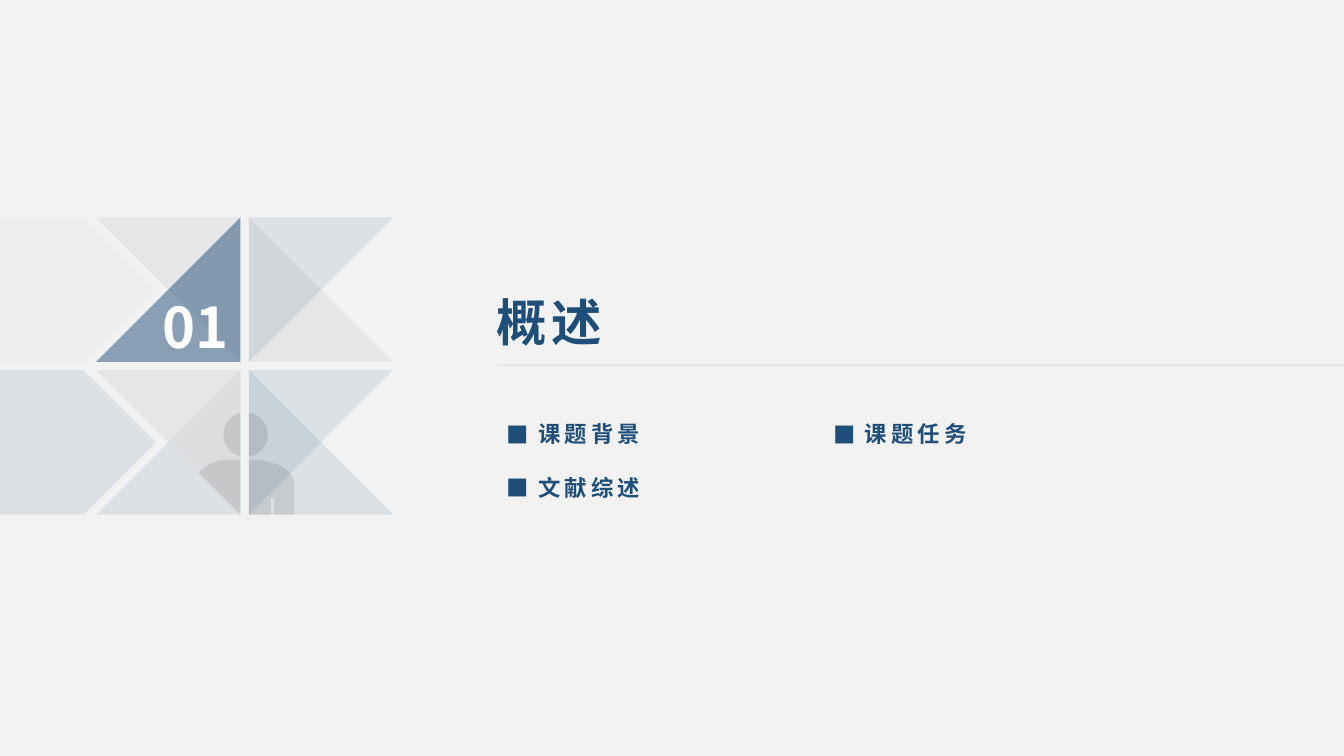
from math import acos, cos, pi, sin
from lxml.etree import SubElement
from pptx import Presentation
from pptx.dml.color import RGBColor as Rgb
from pptx.enum.text import MSO_ANCHOR as Anchor, MSO_AUTO_SIZE as Fit, PP_ALIGN as Align
from pptx.oxml.ns import qn
from pptx.util import Cm, Pt

COLORS = {
    "back": "F2F2F2", "navy": "1F4E79", "gray": "7F7F7F", "light": "D9D9D9",
    "silver": "DBDBDB", "dark": "0D0D0D", "rule": "E6E6E6", "white": "FFFFFF",
}
FACE = "Noto Sans CJK SC"
TILE, STEP = 3.64, 3.85


def color(name):
    return Rgb.from_string(COLORS[name])


def style(par, size, tint, gap=0):
    font = par.font
    font.size, font.bold, font.name = Pt(size), True, FACE
    font.color.rgb = color(tint)
    props = par._p.pPr.find(qn("a:defRPr"))
    if gap:
        props.set("spc", str(gap * 100))
    SubElement(props, qn("a:ea")).set("typeface", FACE)


def bullet(par):
    props = par._p.get_or_add_pPr()
    props.set("marL", str(Cm(0.79)))
    props.set("indent", str(-Cm(0.79)))
    SubElement(props, qn("a:buFont")).set("typeface", FACE)
    SubElement(props, qn("a:buChar")).set("char", "■")


def text(slide, box, lines, size, tint, gap=0, listed=False):
    frame = slide.shapes.add_textbox(*map(Cm, box)).text_frame
    frame.word_wrap, frame.auto_size = True, Fit.SHAPE_TO_FIT_TEXT
    for i, line in enumerate(lines):
        par = frame.add_paragraph() if i else frame.paragraphs[0]
        par.text = line
        if listed:
            par.line_spacing = 2.0
            bullet(par)
        style(par, size, tint, gap)


def patch(slide, x, y, points, tint, alpha):
    spots = [(Cm(x + dx), Cm(y + dy)) for dx, dy in points]
    pen = slide.shapes.build_freeform(*spots[0])
    pen.add_line_segments(spots[1:], close=True)
    shape = pen.convert_to_shape()
    shape.shadow.inherit = False
    shape.line.fill.background()
    shape.fill.solid()
    shape.fill.fore_color.rgb = color(tint)
    tone = shape._element.spPr.find(qn("a:solidFill"))[0]
    SubElement(tone, qn("a:alpha")).set("val", str(alpha * 1000))


def arrows(slide, x, y):
    neck, half = 2.11, TILE / 2
    points = [(0, 0), (neck, 0), (neck + half, half), (neck, TILE), (0, TILE)]
    patch(slide, x, y, points, "light", 20)
    patch(slide, x, y + STEP, points, "navy", 10)


def tiles(slide, x, y):
    nw, ne, se, sw = (0, 0), (TILE, 0), (TILE, TILE), (0, TILE)
    for col, row, points, tint, alpha in [
        (0, 0, (nw, ne, se), "gray", 10),
        (0, 0, (ne, se, sw), "navy", 50),
        (1, 0, (nw, se, sw), "gray", 10),
        (1, 0, (nw, ne, sw), "navy", 10),
        (0, 1, (ne, se, sw), "navy", 10),
        (0, 1, (nw, ne, se), "silver", 50),
        (1, 1, (nw, ne, sw), "navy", 10),
        (1, 1, (nw, se, sw), "navy", 10),
    ]:
        patch(slide, x + col * STEP, y + row * STEP, points, tint, alpha)


def arc(cut, mid, high, size, left):
    turn = acos((cut - mid) / size)
    start, end = (turn, 2 * pi - turn) if left else (-turn, turn)
    turns = [start + (end - start) * i / 32 for i in range(33)]
    return [(mid + size * cos(t), high + size * sin(t)) for t in turns]


def person(slide, x, y):
    low, near, far = TILE, TILE, STEP
    parts = [
        arc(near, 3.77, 1.62, 0.56, True),
        arc(far, 3.77, 1.62, 0.56, False),
        [(near, 2.25), (3.3, 2.25), (3.09, 2.28), (2.91, 2.35),
         (2.71, 2.46), (2.58, 2.58), (near, low)],
        [(far, 2.25), (4.06, 2.25), (4.31, 2.3), (4.54, 2.36), (4.74, 2.46),
         (4.9, 2.61), (4.98, 2.75), (5, 2.86), (5, low), (4.49, low),
         (4.49, 3.22), (4.41, 3.22), (4.41, low), (far, low)],
    ]
    for points in parts:
        patch(slide, x, y, points, "dark", 10)


def emblem(slide, x, y):
    arrows(slide, x, y)
    tiles(slide, x + 2.42, y)
    person(slide, x + 2.42, y + STEP)
    text(slide, (x + 3.84, y + 1.76, 2.54, 1.96), ["01"], 40, "white")


def heading(slide, x, y, width):
    title = slide.shapes.title
    title.left, title.top = Cm(x), Cm(y)
    title.width, title.height = Cm(14.15), Cm(1.8)
    frame = title.text_frame
    frame.text = "概述"
    frame.vertical_anchor = Anchor.TOP
    frame.word_wrap, frame.auto_size = True, Fit.SHAPE_TO_FIT_TEXT
    par = frame.paragraphs[0]
    par.alignment = Align.LEFT
    style(par, 36, "navy", 3)
    level = Cm(y + 1.98)
    rule = slide.shapes.add_connector(1, Cm(x + 0.28), level, Cm(x + width), level)
    rule.line.color.rgb, rule.line.width = color("rule"), Pt(1.5)
    SubElement(rule._element.spPr, qn("a:effectLst"))


def topics(slide, x, y):
    text(slide, (x, y, 7.67, 2.79), ["课题背景", "文献综述"], 16, "navy", 3, True)
    text(slide, (x + 8.23, y, 8.31, 1.42), ["课题任务"], 16, "navy", 3, True)


def main():
    deck = Presentation()
    deck.slide_width, deck.slide_height = Cm(33.87), Cm(19.05)
    slide = deck.slides.add_slide(deck.slide_layouts[5])
    back = slide.background.fill
    back.solid()
    back.fore_color.rgb = color("back")
    emblem(slide, 0, 5.48)
    heading(slide, 12.27, 7.21, 21.6)
    topics(slide, 12.52, 9.78)
    deck.save("out.pptx")


if __name__ == "__main__":
    main()
